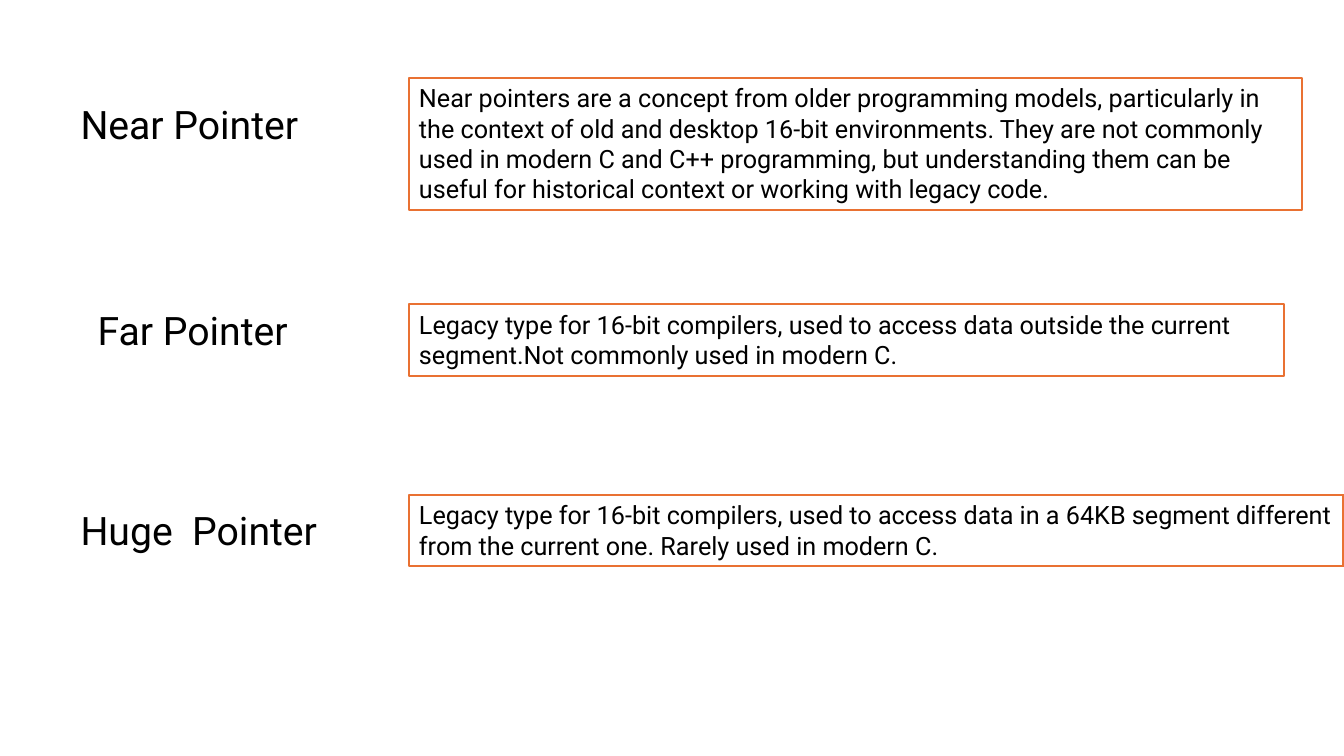
from pptx import Presentation
from pptx.dml.color import RGBColor
from pptx.enum import shapes, text
from pptx.util import Cm, Pt

NOTE_LEFT = 10.31
LABEL_SIZE = (7.77, 3.68)

# label, label left, label top, note top, note width, note height, note
ROWS = [
    ("Near Pointer", 1.78, 1.35, 1.96, 22.5, 3.33,
     "Near pointers are a concept from older programming models, "
     "particularly in the context of old and desktop 16-bit environments. "
     "They are not commonly used in modern C and C++ programming, but "
     "understanding them can be useful for historical context or working "
     "with legacy code."),
    ("Far Pointer", 2.21, 6.55, 7.67, 22.05, 1.8,
     "Legacy type for 16-bit compilers, used to access data outside the "
     "current segment.Not commonly used in modern C."),
    ("Huge  Pointer", 1.78, 11.58, 12.47, 23.55, 1.8,
     "Legacy type for 16-bit compilers, used to access data in a 64KB "
     "segment different from the current one. Rarely used in modern C."),
]


def color(code):
    return RGBColor.from_string(code)


def write(shape, words, size, anchor, spacing):
    frame = shape.text_frame
    frame.word_wrap = True
    frame.vertical_anchor = anchor
    para = frame.paragraphs[0]
    form = {"alignment": text.PP_ALIGN.LEFT, "line_spacing": spacing}
    for key, value in form.items():
        setattr(para, key, value)
    run = para.add_run()
    run.text = words
    for key, value in {"name": "Roboto", "size": Pt(size)}.items():
        setattr(run.font, key, value)
    run.font.color.rgb = color("000000")


def label(slide, box, words):
    shape = slide.shapes.add_textbox(*map(Cm, box))
    write(shape, words, 28, text.MSO_ANCHOR.MIDDLE, 0.9)


def note(slide, box, words):
    shape = slide.shapes.add_shape(shapes.MSO_SHAPE.RECTANGLE, *map(Cm, box))
    shape.shadow.inherit = False
    shape.fill.solid()
    shape.fill.fore_color.rgb = color("FFFFFF")
    shape.line.color.rgb = color("E97132")
    shape.line.width = Pt(1.5)
    write(shape, words, 18, text.MSO_ANCHOR.TOP, 1.0)
    shape.text_frame.auto_size = text.MSO_AUTO_SIZE.SHAPE_TO_FIT_TEXT


def main():
    deck = Presentation()
    deck.slide_width, deck.slide_height = Cm(33.87), Cm(19.05)
    slide = deck.slides.add_slide(deck.slide_layouts[6])

    # One row for each pointer type
    for name, left, top, start, width, height, words in ROWS:
        label(slide, (left, top, *LABEL_SIZE), name)
        note(slide, (NOTE_LEFT, start, width, height), words)

    deck.save("out.pptx")


if __name__ == "__main__":
    main()
